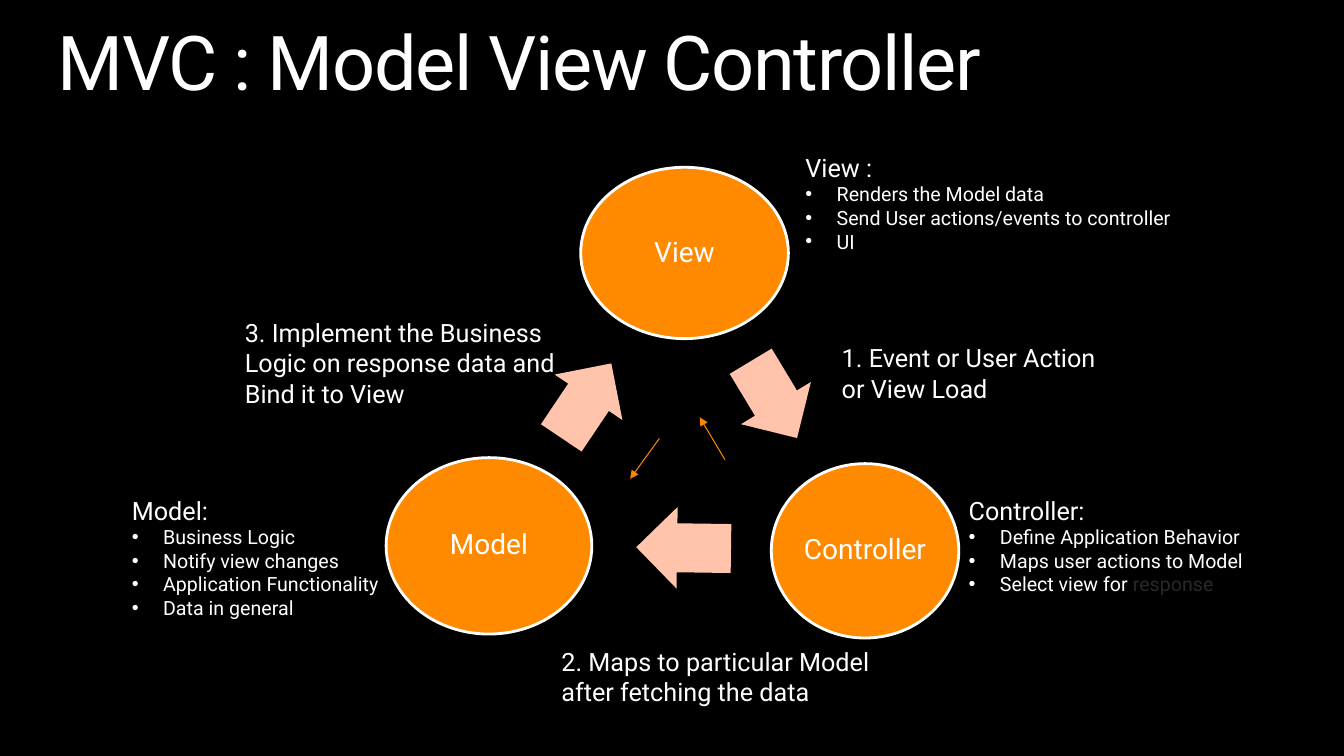
from dataclasses import dataclass

from lxml import etree
from pptx import Presentation
from pptx.dml.color import RGBColor
from pptx.enum.shapes import MSO_CONNECTOR, MSO_SHAPE
from pptx.enum.text import MSO_ANCHOR, MSO_AUTO_SIZE, PP_ALIGN
from pptx.oxml.ns import qn
from pptx.util import Inches, Pt

ELLIPSE, RIGHT_ARROW = MSO_SHAPE.OVAL, MSO_SHAPE.RIGHT_ARROW
STRAIGHT = MSO_CONNECTOR.STRAIGHT
TOP, MIDDLE = MSO_ANCHOR.TOP, MSO_ANCHOR.MIDDLE
LEFT, CENTER = PP_ALIGN.LEFT, PP_ALIGN.CENTER
NO_FIT, GROW = MSO_AUTO_SIZE.NONE, MSO_AUTO_SIZE.SHAPE_TO_FIT_TEXT
FONT = "Roboto"
BLACK, WHITE, ORANGE, PEACH = "000000", "FFFFFF", "FF8A00", "FFC4AB"
LINE_ORANGE, DIM = "F98700", "292929"
BULLET_INDENT = Inches(0.31)
NO_MARGINS = dict.fromkeys(
    ("margin_left", "margin_top", "margin_right", "margin_bottom"), 0)

Area = tuple[float, float, float, float]
Point = tuple[float, float]


@dataclass
class Role:
    name: str
    area: Area


@dataclass
class BlockArrow:
    area: Area
    rotation: float


@dataclass
class ThinArrow:
    start: Point
    end: Point


@dataclass
class Note:
    area: Area
    heading: str
    bullets: tuple[str, ...] = ()
    dim_ending: str = ""


ROLES = [
    Role("View", (5.76, 1.66, 2.06, 1.7)),
    Role("Controller", (7.65, 4.6, 1.86, 1.73)),
    Role("Model", (3.83, 4.54, 2.04, 1.75)),
]
BLOCK_ARROWS = [
    BlockArrow((7.23, 3.56, 0.89, 0.81), 58.9),
    BlockArrow((6.31, 5.03, 0.94, 0.81), 180.8),
    BlockArrow((5.37, 3.57, 0.89, 0.81), 303.9),
]
THIN_ARROWS = [
    ThinArrow((7.19, 4.56), (6.94, 4.14)),
    ThinArrow((6.54, 4.35), (6.25, 4.75)),
]
NOTES = [
    Note((8.25, 3.35, 2.78, 0.71), "1. Event or User Action or View Load"),
    Note((5.47, 6.36, 3.44, 0.71),
         "2. Maps to particular Model after fetching the data"),
    Note((2.33, 3.1, 3.31, 1.01),
         "3. Implement the Business Logic on response data and Bind it to View"),
    Note((7.89, 1.46, 4.11, 1.11), "View :",
         ("Renders the Model data", "Send User actions/events to controller", "UI")),
    Note((9.51, 4.86, 3.54, 1.11), "Controller:",
         ("Define Application Behavior", "Maps user actions to Model",
          "Select view for "), "response"),
    Note((1.21, 4.86, 2.7, 1.35), "Model:",
         ("Business Logic", "Notify view changes", "Application Functionality",
          "Data in general")),
]


def color(value: str) -> RGBColor:
    return RGBColor.from_string(value)


def apply(target, formats: dict) -> None:
    for name, value in formats.items():
        setattr(target, name, value)


def add_span(para, text: str, size: float, tint: str = WHITE):
    span = para.add_run()
    span.text = text
    apply(span.font, {"name": FONT, "size": Pt(size)})
    span.font.color.rgb = color(tint)
    return span


def add_bullet(para) -> None:
    properties = para._p.get_or_add_pPr()
    properties.set("marL", str(BULLET_INDENT))
    properties.set("indent", str(-BULLET_INDENT))
    etree.SubElement(properties, qn("a:buFont")).set("typeface", "Arial")
    etree.SubElement(properties, qn("a:buChar")).set("char", "•")


def set_title(page, text: str) -> None:
    title = page.shapes.title
    apply(title, dict(zip(("left", "top", "width", "height"),
                          map(Inches, (0.57, 0.25, 12.2, 0.82)))))
    apply(title.text_frame, NO_MARGINS | {
        "vertical_anchor": TOP, "word_wrap": True, "auto_size": NO_FIT})
    para = title.text_frame.paragraphs[0]
    apply(para, {"alignment": LEFT, "line_spacing": 0.9})
    span = add_span(para, text, 54)
    span.font._element.set("spc", "-100")


def add_filled(page, kind, area: Area, fill: str):
    shape = page.shapes.add_shape(kind, *map(Inches, area))
    shape.shadow.inherit = False
    shape.fill.solid()
    shape.fill.fore_color.rgb = color(fill)
    return shape


def add_role(page, role: Role) -> None:
    shape = add_filled(page, ELLIPSE, role.area, ORANGE)
    shape.line.color.rgb = color(WHITE)
    shape.line.width = Pt(2)
    apply(shape.text_frame, NO_MARGINS | {
        "vertical_anchor": MIDDLE, "word_wrap": False})
    para = shape.text_frame.paragraphs[0]
    apply(para, {"alignment": CENTER, "line_spacing": 0.9})
    add_span(para, role.name, 20)


def add_block_arrow(page, arrow: BlockArrow) -> None:
    shape = add_filled(page, RIGHT_ARROW, arrow.area, PEACH)
    shape.line.fill.background()
    shape.adjustments[0], shape.adjustments[1] = 0.6, 0.5
    shape.rotation = arrow.rotation


def add_thin_arrow(page, arrow: ThinArrow) -> None:
    line = page.shapes.add_connector(
        STRAIGHT, *map(Inches, arrow.start + arrow.end))
    line.line.color.rgb = color(LINE_ORANGE)
    line.line.width = Pt(0.75)
    etree.SubElement(line.line._get_or_add_ln(), qn("a:tailEnd")).set("type", "triangle")
    etree.SubElement(line._element.spPr, qn("a:effectLst"))


def add_note(page, note: Note) -> None:
    frame = page.shapes.add_textbox(*map(Inches, note.area)).text_frame
    apply(frame, {"word_wrap": True, "auto_size": GROW})
    add_span(frame.paragraphs[0], note.heading, 18)
    for bullet in note.bullets:
        para = frame.add_paragraph()
        add_bullet(para)
        add_span(para, bullet, 14)
    if note.dim_ending:
        add_span(frame.paragraphs[-1], note.dim_ending, 14, DIM)


def main() -> None:
    deck = Presentation()
    apply(deck, {"slide_width": Inches(13.33), "slide_height": Inches(7.5)})
    page = deck.slides.add_slide(deck.slide_layouts.get_by_name("Title Only"))
    page.background.fill.solid()
    page.background.fill.fore_color.rgb = color(BLACK)
    set_title(page, "MVC : Model View Controller")
    for items, draw in ((ROLES, add_role), (BLOCK_ARROWS, add_block_arrow),
                        (NOTES, add_note), (THIN_ARROWS, add_thin_arrow)):
        for item in items:
            draw(page, item)
    deck.save("out.pptx")


if __name__ == "__main__":
    main()
